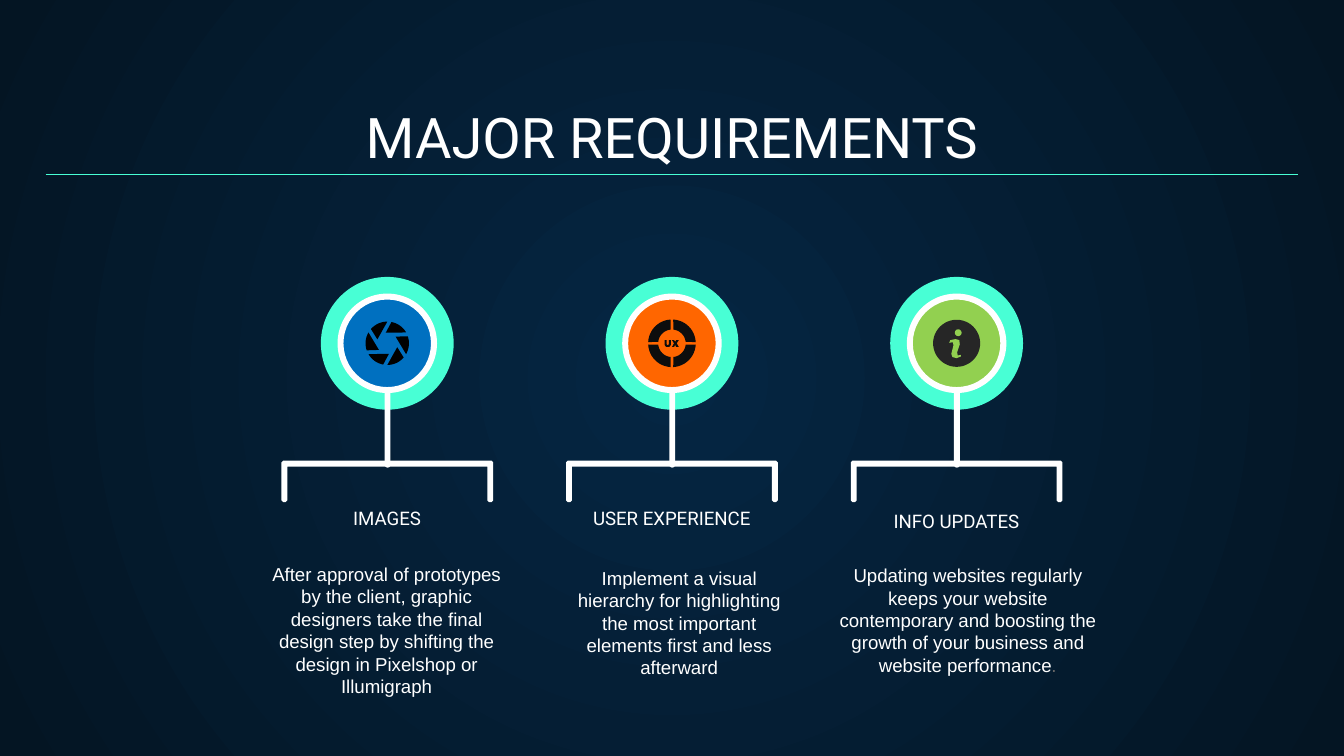
import math
from dataclasses import dataclass
from typing import Callable

from lxml import etree
from pptx import Presentation
from pptx import util as u
from pptx.dml import color
from pptx.enum import shapes, text
from pptx.oxml import ns

Point = tuple[float, float]

WHITE, AQUA = "FFFFFF", "48FFD5"
BADGE_Y = 6.49
FIRST_X, PITCH = 7.32, 5.38
INSET = 0.25


@dataclass
class Requirement:
    heading: str
    heading_top: float
    body: str
    body_left: float
    body_top: float
    body_width: float
    badge_color: str
    icon: Callable[[float, float, str], None]
    indent: float = 0
    full_stop: str = ""


def rgb(value: str) -> color.RGBColor:
    return color.RGBColor.from_string(value)


def paint(shape, fill: str) -> None:
    shape.shadow.inherit = False
    shape.fill.solid()
    shape.fill.fore_color.rgb = rgb(fill)
    shape.line.fill.background()


def preset(kind, left: float, top: float, width: float, height: float, fill: str):
    shape = slide.shapes.add_shape(kind, u.Cm(left), u.Cm(top), u.Cm(width), u.Cm(height))
    paint(shape, fill)
    return shape


def centred(kind, x: float, y: float, size: float, fill: str):
    return preset(kind, x - size / 2, y - size / 2, size, size, fill)


def outline(x: float, y: float, points: list[Point], fill: str) -> None:
    vertices = [(u.Cm(x + dx), u.Cm(y + dy)) for dx, dy in points]
    builder = slide.shapes.build_freeform(*vertices[0])
    builder.add_line_segments(vertices[1:])
    paint(builder.convert_to_shape(), fill)


def arc(radius: float, start: float, end: float, steps: int = 12) -> list[Point]:
    angles = [math.radians(start + (end - start) * i / steps) for i in range(steps + 1)]
    return [(radius * math.cos(a), radius * math.sin(a)) for a in angles]


def rotate(points: list[Point], degrees: float) -> list[Point]:
    c, s = math.cos(math.radians(degrees)), math.sin(math.radians(degrees))
    return [(x * c - y * s, x * s + y * c) for x, y in points]


def aperture_icon(x: float, y: float, badge_color: str) -> None:
    blade = [(-0.03, -0.2)] + arc(0.41, -79, -30)
    for turn in range(6):
        outline(x, y, rotate(blade, turn * 60), "000000")


def ux_icon(x: float, y: float, badge_color: str) -> None:
    dark = "0D0D0D"
    quarter = arc(0.45, 3, 87) + arc(0.26, 84, 6)
    for turn in range(4):
        outline(x, y, rotate(quarter, turn * 90), dark)
    letter_u = [(-0.14, -0.06), (-0.1, -0.06), (-0.1, 0.02), (-0.08, 0.04), (-0.06, 0.02),
                (-0.06, -0.06), (-0.02, -0.06), (-0.02, 0.03), (-0.05, 0.07), (-0.11, 0.07),
                (-0.14, 0.03)]
    letter_x = [(0, -0.06), (0.04, -0.06), (0.06, -0.03), (0.08, -0.06), (0.13, -0.06),
                (0.09, 0), (0.13, 0.07), (0.08, 0.07), (0.06, 0.03), (0.04, 0.07),
                (0, 0.07), (0.04, 0)]
    for letter in (letter_u, letter_x):
        outline(x, y, letter, dark)


def info_icon(x: float, y: float, badge_color: str) -> None:
    centred(shapes.MSO_SHAPE.OVAL, x, y, 0.89, "262626")
    centred(shapes.MSO_SHAPE.OVAL, x + 0.03, y - 0.2, 0.13, badge_color)
    stem = [(-0.14, -0.01), (-0.12, -0.06), (-0.02, -0.08), (0.05, -0.06), (0.06, 0.02),
            (0.01, 0.17), (0.02, 0.23), (0.08, 0.22), (0.08, 0.25), (0, 0.28),
            (-0.08, 0.26), (-0.1, 0.2), (-0.06, 0.04), (-0.07, -0.02)]
    outline(x, y, stem, badge_color)


def bracket(x: float) -> None:
    half, thick, drop, cut = 2.0, 0.11, 0.78, 0.03
    right = [(half - thick, thick), (half - thick, drop - cut), (half - thick + cut, drop),
             (half - cut, drop), (half, drop - cut), (half, cut), (half - cut, 0)]
    left = [(-dx, dy) for dx, dy in reversed(right)]
    outline(x, 8.71, right + left, WHITE)


def set_frame(shape, left: float, top: float, width: float, height: float, anchor):
    shape.left, shape.top = u.Cm(left), u.Cm(top)
    shape.width, shape.height = u.Cm(width), u.Cm(height)
    frame = shape.text_frame
    frame.word_wrap = True
    frame.auto_size = text.MSO_AUTO_SIZE.NONE
    frame.vertical_anchor = anchor
    frame.margin_left = frame.margin_right = u.Cm(INSET)
    frame.margin_top = frame.margin_bottom = u.Cm(INSET)
    return frame


def write(frame, wording: str, font: str, size: float):
    paragraph = frame.paragraphs[0]
    paragraph.add_run().text = wording
    paragraph.alignment = text.PP_ALIGN.CENTER
    paragraph.font.name = font
    paragraph.font.size = u.Pt(size)
    paragraph.font.color.rgb = rgb(WHITE)
    return paragraph


def label(wording: str, font: str, left: float, top: float, width: float, height: float, anchor):
    box = slide.shapes.add_textbox(0, 0, 0, 0)
    return write(set_frame(box, left, top, width, height, anchor), wording, font, 10)


def draw_requirement(item: Requirement, x: float) -> None:
    kinds = shapes.MSO_SHAPE
    bracket(x)
    centred(kinds.OVAL, x, BADGE_Y, 2.51, AQUA)
    stem = preset(kinds.ROUNDED_RECTANGLE, x - 0.05, 6.3, 0.11, 2.54, WHITE)
    stem.adjustments[0] = 0.5
    centred(kinds.OVAL, x, BADGE_Y, 1.78, item.badge_color)
    ring = centred(kinds.DONUT, x, BADGE_Y, 1.88, WHITE)
    ring.adjustments[0] = 0.06
    item.icon(x, BADGE_Y, item.badge_color)
    label(item.heading, "Roboto", x - 2.89, item.heading_top, 5.77, 0.53, text.MSO_ANCHOR.BOTTOM)
    body = label(item.body, "Arial", item.body_left, item.body_top, item.body_width, 1.4,
                 text.MSO_ANCHOR.TOP)
    if item.indent:
        body._p.get_or_add_pPr().set("marL", str(u.Cm(item.indent)))
    if item.full_stop:
        stop = body.add_run()
        stop.text = item.full_stop
        stop.font.color.rgb = rgb("666666")


def draw_background() -> None:
    fill = slide.background.fill
    fill.gradient()
    for stop, shade, position in zip(fill.gradient_stops, ("052643", "041523"), (0, 1)):
        stop.color.rgb = rgb(shade)
        stop.position = position
    gradient = slide.element.find(".//" + ns.qn("a:gradFill"))
    linear = gradient.find(ns.qn("a:lin"))
    circle = etree.Element(ns.qn("a:path"), path="circle")
    sides = {side: "50000" for side in "ltrb"}
    etree.SubElement(circle, ns.qn("a:fillToRect"), sides)
    gradient.replace(linear, circle)


def draw_title() -> None:
    frame = set_frame(slide.shapes.title, 0.86, 1.78, 23.68, 1.68, text.MSO_ANCHOR.BOTTOM)
    write(frame, "MAJOR REQUIREMENTS", "Roboto", 30)
    rule = slide.shapes.add_connector(shapes.MSO_CONNECTOR.STRAIGHT,
                                      u.Cm(0.86), u.Cm(3.3), u.Cm(24.54), u.Cm(3.3))
    rule.line.color.rgb = rgb(AQUA)
    rule.line.width = u.Pt(0.75)
    etree.SubElement(rule._element.spPr, ns.qn("a:effectLst"))


REQUIREMENTS = [
    Requirement("IMAGES", 9.73,
                "After approval of prototypes by the client, graphic designers take the final "
                "design step by shifting the design in Pixelshop or Illumigraph",
                4.88, 10.39, 4.85, "0070C0", aperture_icon),
    Requirement("USER EXPERIENCE", 9.73,
                "Implement a visual hierarchy for highlighting the most important elements "
                "first and less afterward",
                10.26, 10.46, 4.85, "FF6600", ux_icon, indent=0.3),
    Requirement("INFO UPDATES", 9.78,
                "Updating websites regularly keeps your website contemporary and boosting the "
                "growth of your business and website performance",
                15.6, 10.41, 5.38, "92D050", info_icon, full_stop="."),
]

deck = Presentation()
deck.slide_width, deck.slide_height = u.Cm(25.4), u.Cm(14.29)
slide = deck.slides.add_slide(deck.slide_layouts[5])
draw_background()
draw_title()
for column, requirement in enumerate(REQUIREMENTS):
    draw_requirement(requirement, FIRST_X + column * PITCH)
deck.save("out.pptx")
